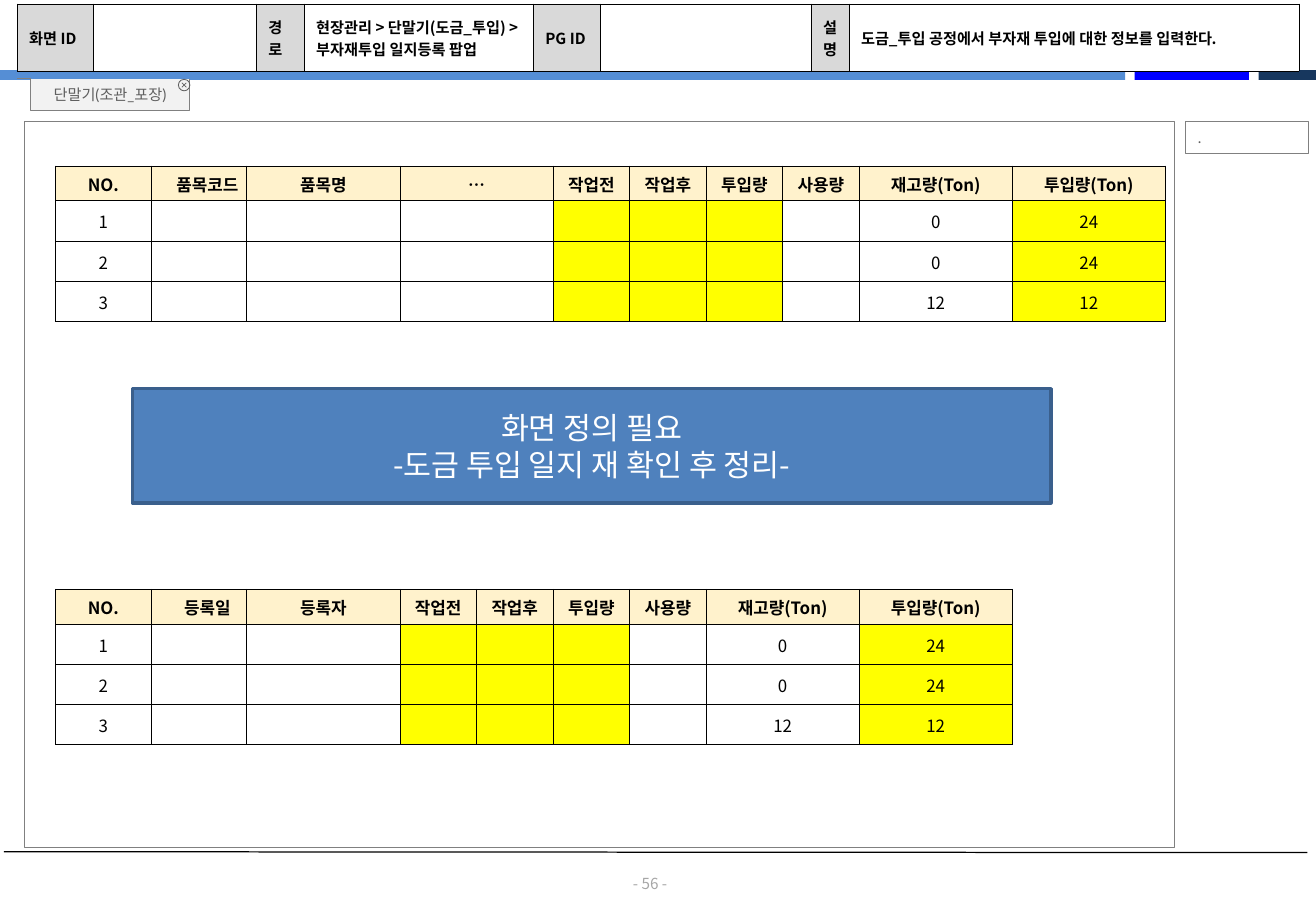
from dataclasses import dataclass

from lxml import etree
from pptx import Presentation
from pptx import util as u
from pptx.dml.color import RGBColor
from pptx.enum import shapes, text
from pptx.oxml.ns import qn

COLORS = {
    "black": "000000", "white": "FFFFFF", "sky": "558ED5", "blue": "0000FF",
    "navy": "17375E", "gray_line": "808080", "label": "D9D9D9", "tab": "F2F2F2",
    "tab_text": "5F5F5F", "page": "A6A6A6", "header": "FFF2CC",
    "input": "FFFF00", "banner": "4F81BD", "banner_line": "3A5F8C",
}
KOREAN, LATIN = "Noto Sans CJK KR", "Lato"
CENTER, LEFT = text.PP_ALIGN.CENTER, text.PP_ALIGN.LEFT
MIDDLE, TOP = text.MSO_ANCHOR.MIDDLE, text.MSO_ANCHOR.TOP
RECTANGLE = shapes.MSO_SHAPE.RECTANGLE


@dataclass
class Box:
    left: float
    top: float
    width: float
    height: float

    def lengths(self) -> list:
        return [u.Cm(v) for v in (self.left, self.top, self.width, self.height)]


@dataclass
class Column:
    title: str
    width: float
    values: tuple = ("", "", "")
    is_input: bool = False


def rgb(name: str) -> RGBColor:
    return RGBColor.from_string(COLORS[name])


def write(holder, content: str, *, size: float = 9, color: str = "black",
          font: str = KOREAN, bold: bool = False, align=LEFT, anchor=MIDDLE,
          margins: tuple = (0.25, 0.13, 0.25, 0.13), wrap: bool = True) -> None:
    """Fill a shape or a table cell with formatted text."""
    frame = holder.text_frame
    frame.word_wrap = wrap
    holder_margins = holder if hasattr(holder, "margin_left") else frame
    for side, value in zip(("left", "top", "right", "bottom"), margins):
        setattr(holder_margins, f"margin_{side}", u.Cm(value))
    holder_margins.vertical_anchor = anchor
    for index, line in enumerate(content.split("\n")):
        paragraph = frame.add_paragraph() if index else frame.paragraphs[0]
        paragraph.alignment = align
        if not line:
            paragraph._p.get_or_add_endParaRPr().set("sz", str(int(size * 100)))
            continue
        run = paragraph.add_run()
        run.text = line
        run.font.size, run.font.bold, run.font.name = u.Pt(size), bold, font
        run.font.color.rgb = rgb(color)
        east_asian = etree.SubElement(run._r.get_or_add_rPr(), qn("a:ea"))
        east_asian.set("typeface", font)


def paint(shape, fill: str = "", line: str = "", weight: float = 0.5) -> None:
    shape.shadow.inherit = False
    if fill:
        shape.fill.solid()
        shape.fill.fore_color.rgb = rgb(fill)
    else:
        shape.fill.background()
    if line:
        shape.line.color.rgb = rgb(line)
        shape.line.width = u.Pt(weight)
    else:
        shape.line.fill.background()


def add_box(slide, box: Box, fill: str = "", line: str = "",
            weight: float = 0.5, kind=RECTANGLE):
    shape = slide.shapes.add_shape(kind, *box.lengths())
    paint(shape, fill, line, weight)
    return shape


def add_line(slide, start: tuple, end: tuple, color: str, weight: float) -> None:
    points = [u.Cm(v) for v in start + end]
    line = slide.shapes.add_connector(shapes.MSO_CONNECTOR.STRAIGHT, *points)
    line.line.color.rgb = rgb(color)
    line.line.width = u.Pt(weight)
    etree.SubElement(line._element.spPr, qn("a:effectLst"))


def style_cell(cell, fill: str, weight: float) -> None:
    properties = cell._tc.get_or_add_tcPr()
    for side in ("lnL", "lnR", "lnT", "lnB"):
        border = etree.SubElement(properties, qn(f"a:{side}"), w=str(u.Pt(weight)))
        solid = etree.SubElement(border, qn("a:solidFill"))
        etree.SubElement(solid, qn("a:srgbClr"), val=COLORS["black"])
    if fill:
        cell.fill.solid()
        cell.fill.fore_color.rgb = rgb(fill)
    else:
        cell.fill.background()


def add_table(slide, left: float, top: float, widths: list, heights: list):
    box = Box(left, top, sum(widths), sum(heights))
    table = slide.shapes.add_table(len(heights), len(widths), *box.lengths()).table
    table.first_row = table.horz_banding = False
    for column, width in zip(table.columns, widths):
        column.width = u.Cm(width)
    for row, height in zip(table.rows, heights):
        row.height = u.Cm(height)
    return table


def add_grid(slide, top: float, columns: list) -> None:
    table = add_table(slide, 1.16, top, [c.width for c in columns],
                      [0.73, 0.84, 0.84, 0.84])
    for x, column in enumerate(columns):
        for y, value in enumerate((column.title, *column.values)):
            fill = "header" if y == 0 else "input" if column.is_input else ""
            style_cell(table.cell(y, x), fill, 0.5)
            write(table.cell(y, x), value, size=10, bold=y == 0, align=CENTER,
                  margins=(0.03, 0.03, 0.03, 0))


def add_screen_header(slide) -> None:
    fields = [
        ("화면 ID", 1.59), ("", 3.41), ("경로", 1.0),
        ("현장관리 > 단말기(도금_투입) > 부자재투입 일지등록 팝업", 4.79),
        ("PG ID", 1.4), ("", 4.41), ("설명", 0.79),
        ("도금_투입 공정에서 부자재 투입에 대한 정보를 입력한다.", 9.41),
    ]
    table = add_table(slide, 0.36, 0.08, [width for _, width in fields], [1.39])
    for x, (content, _) in enumerate(fields):
        style_cell(table.cell(0, x), "white" if x % 2 else "label", 0.25)
        write(table.cell(0, x), content, bold=True)


def add_tab(slide) -> None:
    left, right, top, bottom = 0.64, 3.96, 1.65, 2.31
    add_line(slide, (left, top), (0.36, top), "gray_line", 0.5)
    builder = slide.shapes.build_freeform(u.Cm(right), u.Cm(top))
    corners = [(right, bottom), (left, bottom), (left, top)]
    builder.add_line_segments([(u.Cm(x), u.Cm(y)) for x, y in corners], close=False)
    tab = builder.convert_to_shape()
    paint(tab, "tab", "gray_line")
    write(tab, "단말기(조관_포장)", font=LATIN, color="tab_text", align=CENTER,
          margins=(0.13,) * 4)
    # Close button
    add_box(slide, Box(3.73, 1.66, 0.24, 0.24), line="tab_text",
            kind=shapes.MSO_SHAPE.OVAL)
    cross = add_box(slide, Box(3.76, 1.69, 0.18, 0.18), "tab_text",
                    kind=shapes.MSO_SHAPE.MATH_MULTIPLY)
    cross.adjustments[0] = 0.08


def main() -> None:
    presentation = Presentation()
    presentation.slide_width, presentation.slide_height = u.Cm(27.51), u.Cm(19.05)
    slide = presentation.slides.add_slide(presentation.slide_layouts[6])

    # Colour bars, footer rule and page number
    for left, width, color in ((0, 23.52, "sky"), (23.72, 2.39, "blue"),
                               (26.31, 1.2, "navy")):
        add_box(slide, Box(left, 1.47, width, 0.2), color)
    add_line(slide, (0.08, 17.81), (27.33, 17.83), "black", 0.75)
    page = slide.shapes.add_textbox(*Box(12.83, 18.29, 1.52, 0.38).lengths())
    write(page, "- 56 -", color="page", align=CENTER, margins=(0,) * 4, wrap=False)

    # Screen frame, header, tab and side note
    add_box(slide, Box(0.51, 2.54, 24.05, 15.19), line="gray_line")
    add_screen_header(slide)
    add_tab(slide)
    note = add_box(slide, Box(24.79, 2.54, 2.57, 0.66), "white", "gray_line")
    write(note, ".", font=LATIN, color="tab_text", anchor=TOP,
          margins=(0.25, 0.15, 0.25, 0.15))

    # Input tables
    number = Column("NO.", 2, ("1", "2", "3"))
    amounts = [
        *(Column(title, 1.6, is_input=True) for title in ("작업전", "작업후", "투입량")),
        Column("사용량", 1.6),
        Column("재고량(Ton)", 3.2, ("0", "0", "12")),
        Column("투입량(Ton)", 3.2, ("24", "24", "12"), True),
    ]
    add_grid(slide, 3.47, [number, Column("　품목코드", 2), Column("품목명", 3.2),
                           Column("…", 3.2), *amounts])
    add_grid(slide, 12.32, [number, Column("　등록일", 2), Column("등록자", 3.2),
                            *amounts])

    # Notice banner
    banner = add_box(slide, Box(2.77, 8.13, 19.2, 2.39), "banner", "banner_line", 2)
    write(banner, "화면 정의 필요\n-도금 투입 일지 재 확인 후 정리-", size=18,
          color="white", align=CENTER)

    presentation.save("out.pptx")


if __name__ == "__main__":
    main()
